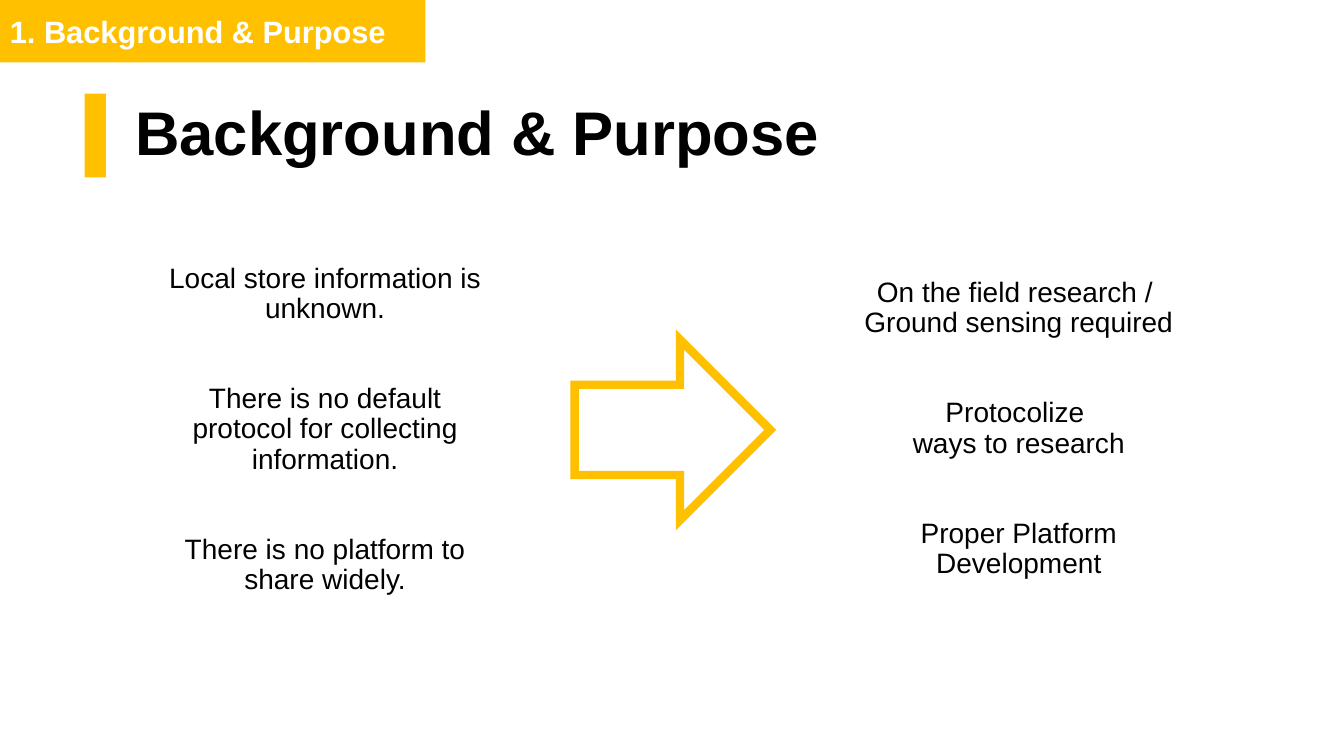
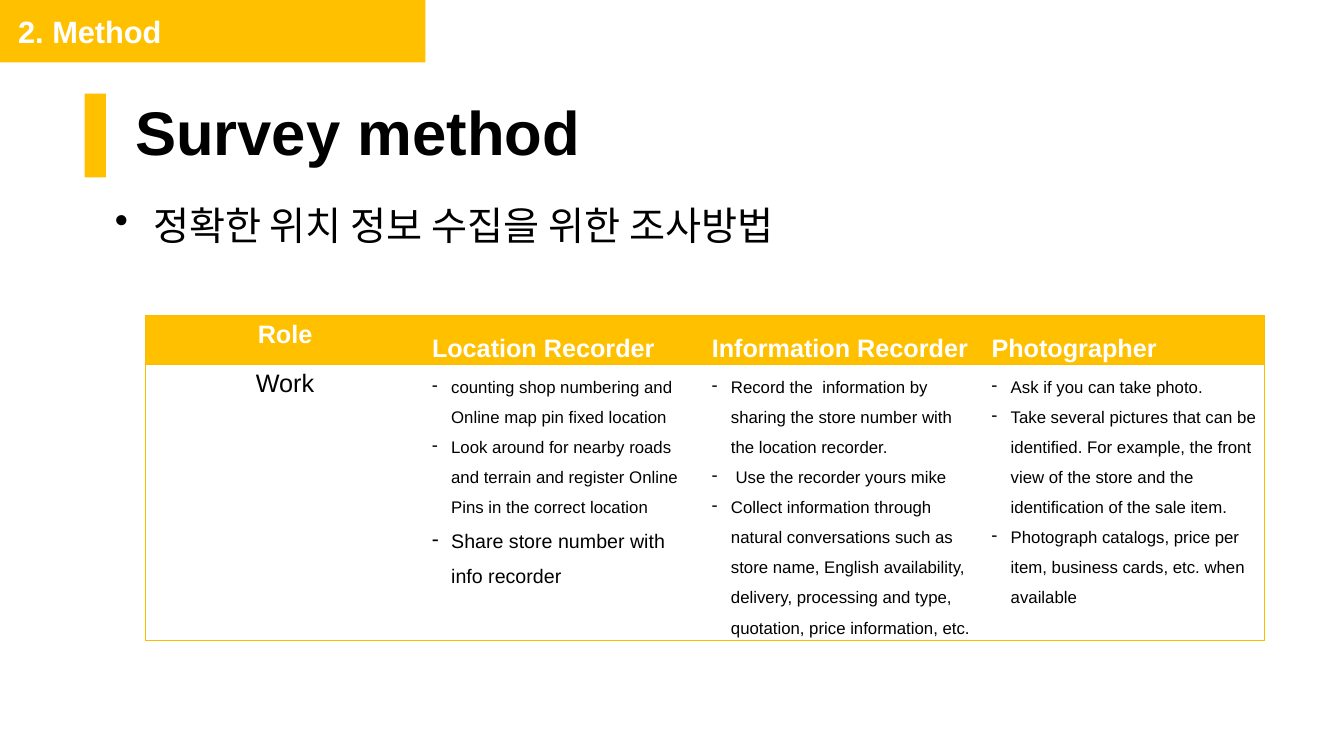
from dataclasses import dataclass
from typing import Optional

import pptx
import pptx.dml.color
import pptx.enum.shapes
import pptx.enum.text
import pptx.oxml.ns
import pptx.util
from lxml import etree

Inches = pptx.util.Inches
Pt = pptx.util.Pt
Align = pptx.enum.text.PP_ALIGN
Anchor = pptx.enum.text.MSO_ANCHOR
Preset = pptx.enum.shapes.MSO_SHAPE
qn = pptx.oxml.ns.qn

COLORS = {"accent": "FFC000", "border": "F9BC00", "text": "000000", "white": "FFFFFF"}
FONT = "Arial"
DEFAULT_INSETS = (0.1, 0.05)
ROLE_INSETS = (0.07, 0.02)


@dataclass(frozen=True)
class Line:
    text: str
    before: float = 0
    size: Optional[float] = None


@dataclass(frozen=True)
class Bullet:
    char: str
    indent: float
    hanging: float


@dataclass(frozen=True)
class Statements:
    left: float
    top: float
    height: float
    lines: list[Line]


@dataclass(frozen=True)
class Role:
    name: str
    duties: list[Line]


TOPIC_GAP = 43  # points between statements
STATEMENTS = [
    Statements(1.51, 2.53, 3.47, [
        Line("Local store information is unknown."),
        Line("There is no default protocol for collecting information.", TOPIC_GAP),
        Line("There is no platform to share widely.", TOPIC_GAP),
    ]),
    Statements(8.39, 2.08, 4.35, [
        Line("On the field research / "),
        Line("Ground sensing required"),
        Line("Protocolize ", TOPIC_GAP),
        Line("ways to research"),
        Line("Proper Platform Development", TOPIC_GAP),
    ]),
]

ROLES = [
    Role("Location Recorder", [
        Line("counting shop numbering and Online map pin fixed location"),
        Line("Look around for nearby roads and terrain and register Online Pins "
             "in the correct location"),
        Line("Share store number with info recorder", size=14),
    ]),
    Role("Information Recorder", [
        Line("Record the  information by sharing the store number with the "
             "location recorder."),
        Line(" Use the recorder yours mike"),
        Line("Collect information through natural conversations such as store name, "
             "English availability, delivery, processing and type, quotation, "
             "price information, etc."),
    ]),
    Role("Photographer", [
        Line("Ask if you can take photo."),
        Line("Take several pictures that can be identified. For example, the front "
             "view of the store and the identification of the sale item."),
        Line("Photograph catalogs, price per item, business cards, etc. when available"),
    ]),
]
TITLE_BULLET = Bullet("•", 0.5, 0.38)
DUTY_BULLET = Bullet("-", 0.19, 0.19)


def rgb(name: str) -> pptx.dml.color.RGBColor:
    return pptx.dml.color.RGBColor.from_string(COLORS[name])


def add_bullet(paragraph, bullet: Bullet) -> None:
    props = paragraph._p.get_or_add_pPr()
    props.set("marL", str(Inches(bullet.indent)))
    props.set("indent", str(-Inches(bullet.hanging)))
    color = etree.SubElement(props, qn("a:buClr"))
    etree.SubElement(color, qn("a:srgbClr"), val=COLORS["text"])
    etree.SubElement(props, qn("a:buChar"), char=bullet.char)


def write_text(frame, lines: list[Line], *, size: float, color: str = "text",
               bold: bool = False, align=Align.LEFT, spacing: float = 1.0,
               bullet: Optional[Bullet] = None) -> None:
    for index, line in enumerate(lines):
        paragraph = frame.paragraphs[0] if index == 0 else frame.add_paragraph()
        if bullet:
            add_bullet(paragraph, bullet)
        paragraph.alignment = align
        paragraph.line_spacing = spacing
        paragraph.space_before = Pt(line.before)
        run = paragraph.add_run()
        run.text = line.text
        run.font.name = FONT
        run.font.size = Pt(line.size or size)
        run.font.bold = bold
        run.font.color.rgb = rgb(color)


def set_frame(frame, anchor, left_inset: float = DEFAULT_INSETS[0]) -> None:
    frame.word_wrap = True
    frame.auto_size = pptx.enum.text.MSO_AUTO_SIZE.NONE
    frame.vertical_anchor = anchor
    frame.margin_left = Inches(left_inset)


def add_text_box(slide, left: float, top: float, width: float, height: float, anchor):
    box = slide.shapes.add_textbox(Inches(left), Inches(top), Inches(width), Inches(height))
    set_frame(box.text_frame, anchor)
    return box.text_frame


def add_block(slide, left: float, top: float, width: float, height: float):
    block = slide.shapes.add_shape(Preset.RECTANGLE, Inches(left), Inches(top),
                                   Inches(width), Inches(height))
    block.shadow.inherit = False
    block.fill.solid()
    block.fill.fore_color.rgb = rgb("accent")
    block.line.fill.background()
    return block


def add_page(deck, section: str, heading: str, section_inset: float = 0.1):
    """Start a slide with its section band, title and title marker."""
    slide = deck.slides.add_slide(deck.slide_layouts[5])
    title = slide.shapes.title
    title.left, title.top = Inches(1.24), Inches(0.62)
    title.width, title.height = Inches(11.5), Inches(1.45)
    set_frame(title.text_frame, Anchor.MIDDLE)
    write_text(title.text_frame, [Line(heading)], size=44, bold=True, spacing=0.9)

    add_block(slide, 0.84, 0.93, 0.21, 0.83)
    band = add_block(slide, 0, 0, 4.22, 0.62)
    set_frame(band.text_frame, Anchor.MIDDLE, section_inset)
    write_text(band.text_frame, [Line(section)], size=22, color="white", bold=True)
    return slide


def add_arrow(slide) -> None:
    arrow = slide.shapes.add_shape(Preset.RIGHT_ARROW, Inches(5.7), Inches(3.37),
                                   Inches(1.94), Inches(1.79))
    arrow.shadow.inherit = False
    arrow.fill.background()
    arrow.line.color.rgb = rgb("accent")
    arrow.line.width = Pt(6)
    etree.SubElement(arrow.line._get_or_add_ln(), qn("a:miter"), lim="800000")


def set_borders(cell, visible: dict[str, bool]) -> None:
    props = cell._tc.get_or_add_tcPr()
    for index, (side, shown) in enumerate(visible.items()):
        line = etree.Element(qn(f"a:ln{side}"), w=str(Pt(0.75)))
        if shown:
            fill = etree.SubElement(line, qn("a:solidFill"))
            etree.SubElement(fill, qn("a:srgbClr"), val=COLORS["border"])
        else:
            etree.SubElement(line, qn("a:noFill"))
        props.insert(index, line)


def set_insets(cell, insets: tuple[float, float]) -> None:
    cell.margin_left = cell.margin_right = Inches(insets[0])
    cell.margin_top = cell.margin_bottom = Inches(insets[1])


def add_role_table(slide) -> None:
    columns = len(ROLES) + 1
    table = slide.shapes.add_table(2, columns, Inches(1.44), Inches(3.13),
                                   Inches(11.1), Inches(3.22)).table
    table.horz_banding = False
    for column in table.columns:
        column.width = Inches(11.1 / columns)
    for row, height in zip(table.rows, (0.49, 2.73)):
        row.height = Inches(height)

    # Fills and outer borders
    for row in range(2):
        for column in range(columns):
            cell = table.cell(row, column)
            cell.fill.solid()
            cell.fill.fore_color.rgb = rgb("accent" if row == 0 else "white")
            set_insets(cell, DEFAULT_INSETS if column == 0 else ROLE_INSETS)
            set_borders(cell, {"L": column == 0, "R": column == columns - 1,
                               "T": True, "B": row == 1})

    # Row labels
    write_text(table.cell(0, 0).text_frame, [Line("Role")], size=18, color="white",
               bold=True, align=Align.CENTER)
    write_text(table.cell(1, 0).text_frame, [Line("Work")], size=18, align=Align.CENTER)

    # Roles and their duties
    for column, role in enumerate(ROLES, start=1):
        header = table.cell(0, column)
        header.vertical_anchor = Anchor.MIDDLE
        write_text(header.text_frame, [Line(role.name)], size=18, color="white",
                   bold=True, spacing=1.6)
        write_text(table.cell(1, column).text_frame, role.duties, size=12,
                   spacing=1.6, bullet=DUTY_BULLET)


def build_background(deck) -> None:
    slide = add_page(deck, "1. Background & Purpose", "Background & Purpose")
    add_arrow(slide)
    for group in STATEMENTS:
        frame = add_text_box(slide, group.left, group.top, 3.43, group.height, Anchor.MIDDLE)
        write_text(frame, group.lines, size=20, align=Align.CENTER, spacing=0.9)


def build_method(deck) -> None:
    slide = add_page(deck, "2. Method", "Survey method", section_inset=0.18)
    frame = add_text_box(slide, 0.92, 2, 11.5, 0.89, Anchor.TOP)
    write_text(frame, [Line("정확한 위치 정보 수집을 위한 조사방법")], size=28,
               spacing=0.9, bullet=TITLE_BULLET)
    add_role_table(slide)


def main() -> None:
    deck = pptx.Presentation()
    deck.slide_width, deck.slide_height = Inches(13.33), Inches(7.5)
    build_background(deck)
    build_method(deck)
    deck.save("out.pptx")


if __name__ == "__main__":
    main()
